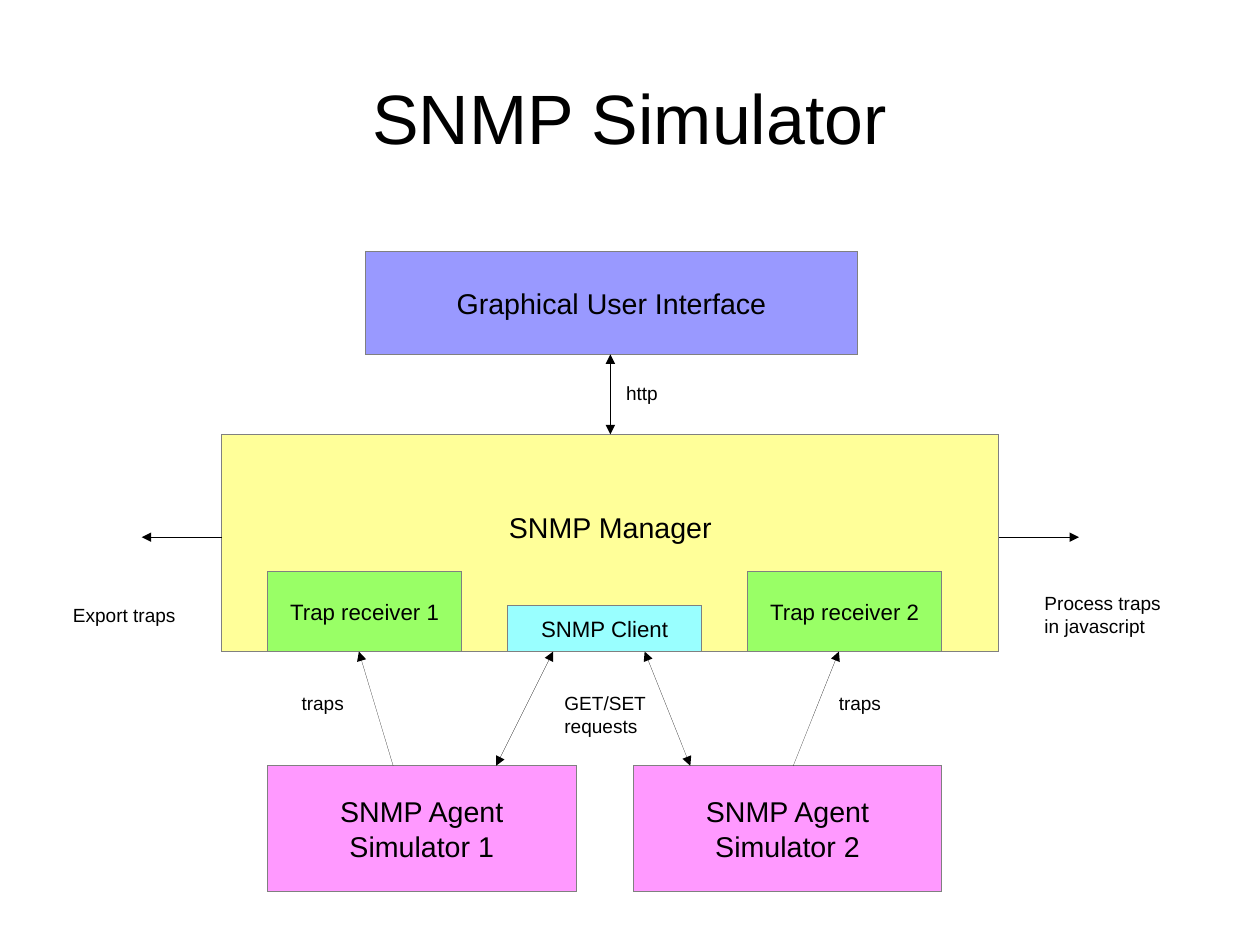
from typing import NamedTuple

from lxml import etree
from pptx import Presentation
from pptx import util as u
from pptx.dml.color import RGBColor
from pptx.enum import shapes, text
from pptx.oxml.ns import qn

PX = 9144  # EMU per px, 100 px to the inch
HAIRLINE = u.Emu(1)
FONT = "Arial"
BLACK, GREY = "000000", "808080"
YELLOW, PINK, GREEN, CYAN, BLUE = "FFFF99", "FF99FF", "99FF66", "99FFFF", "9999FF"


class Block(NamedTuple):
    label: str
    left: int
    top: int
    width: int
    height: int
    fill: str
    size: int = 18
    bottom_inset: int = 5


class Label(NamedTuple):
    label: str
    left: int
    top: int
    width: int
    height: int


class Arrow(NamedTuple):
    x1: int
    y1: int
    x2: int
    y2: int
    both_ends: bool = False


# Vertical levels shared by blocks and arrows
GUI_BOTTOM, MANAGER_TOP, MANAGER_BOTTOM, AGENT_TOP = 310, 380, 570, 670
MANAGER_LEFT, MANAGER_RIGHT, SIDE_Y, SIDE_LENGTH = 194, 874, 470, 70

BLOCKS = [
    Block("SNMP Manager", MANAGER_LEFT, MANAGER_TOP, MANAGER_RIGHT - MANAGER_LEFT,
          MANAGER_BOTTOM - MANAGER_TOP, YELLOW, bottom_inset=33),
    Block("SNMP Client", 444, 530, 170, 40, CYAN, 14),
    Block("Graphical User Interface", 320, 220, 430, 90, BLUE),
]
for number, receiver_left, agent_left in ((1, 234, 234), (2, 654, 554)):
    BLOCKS += [
        Block(f"Trap receiver {number}", receiver_left, 500, 170, 70, GREEN, 14),
        Block(f"SNMP Agent\nSimulator {number}", agent_left, AGENT_TOP, 270, 110, PINK),
    ]

ARROWS = [
    Arrow(344, AGENT_TOP, 314, MANAGER_BOTTOM),
    Arrow(694, AGENT_TOP, 734, MANAGER_BOTTOM),
    Arrow(434, AGENT_TOP, 484, MANAGER_BOTTOM, True),
    Arrow(604, AGENT_TOP, 564, MANAGER_BOTTOM, True),
    Arrow(MANAGER_LEFT, SIDE_Y, MANAGER_LEFT - SIDE_LENGTH, SIDE_Y),
    Arrow(MANAGER_RIGHT, SIDE_Y, MANAGER_RIGHT + SIDE_LENGTH, SIDE_Y),
    Arrow(534, MANAGER_TOP, 534, GUI_BOTTOM, True),
]

LABELS = [
    Label("traps", 254, 600, 70, 38),
    Label("traps", 724, 600, 90, 38),
    Label("GET/SET\nrequests", 484, 600, 100, 48),
    Label("Export traps", 54, 523, 130, 47),
    Label("Process traps in javascript", 904, 513, 130, 47),
    Label("http", 538, 329, 90, 31),
]


def px(*lengths: int) -> list[u.Emu]:
    return [u.Emu(length * PX) for length in lengths]


def rgb(color: str) -> RGBColor:
    return RGBColor.from_string(color)


def write(frame, words: str, size: int, align, anchor, bottom_inset: int = 5) -> None:
    frame.text = words
    frame.word_wrap = True
    frame.vertical_anchor = anchor
    frame.margin_left, frame.margin_top, frame.margin_right, frame.margin_bottom = px(
        10, 5, 10, bottom_inset)
    for paragraph in frame.paragraphs:
        paragraph.alignment = align
        for run in paragraph.runs:
            run.font.name = FONT
            run.font.size = u.Pt(size)
            run.font.color.rgb = rgb(BLACK)


def draw_block(slide, block: Block) -> None:
    box = slide.shapes.add_shape(
        shapes.MSO_SHAPE.RECTANGLE,
        *px(block.left, block.top, block.width, block.height))
    box.shadow.inherit = False
    box.fill.solid()
    box.fill.fore_color.rgb = rgb(block.fill)
    box.line.color.rgb = rgb(GREY)
    box.line.width = HAIRLINE
    write(box.text_frame, block.label, block.size, text.PP_ALIGN.CENTER,
          text.MSO_ANCHOR.MIDDLE, block.bottom_inset)


def draw_arrow(slide, arrow: Arrow) -> None:
    line = slide.shapes.add_connector(
        shapes.MSO_CONNECTOR.STRAIGHT, *px(arrow.x1, arrow.y1, arrow.x2, arrow.y2))
    line.line.color.rgb = rgb(BLACK)
    line.line.width = HAIRLINE
    outline = line._element.spPr.find(qn("a:ln"))
    for end in ("a:headEnd", "a:tailEnd") if arrow.both_ends else ("a:tailEnd",):
        etree.SubElement(outline, qn(end), type="triangle")
    etree.SubElement(line._element.spPr, qn("a:effectLst"))


def draw_label(slide, label: Label, size: int = 12, align=text.PP_ALIGN.LEFT,
               anchor=text.MSO_ANCHOR.TOP) -> None:
    box = slide.shapes.add_textbox(
        *px(label.left, label.top, label.width, label.height))
    write(box.text_frame, label.label, size, align, anchor)


def main() -> None:
    deck = Presentation()
    deck.slide_width, deck.slide_height = u.Cm(28), u.Cm(21)
    slide = deck.slides.add_slide(deck.slide_layouts[6])

    # Title
    draw_label(slide, Label("SNMP Simulator", 55, 33, 992, 138), 44,
               text.PP_ALIGN.CENTER, text.MSO_ANCHOR.MIDDLE)
    # Components, then the traffic between them
    for block in BLOCKS:
        draw_block(slide, block)
    for arrow in ARROWS:
        draw_arrow(slide, arrow)
    for label in LABELS:
        draw_label(slide, label)

    deck.save("out.pptx")


if __name__ == "__main__":
    main()
